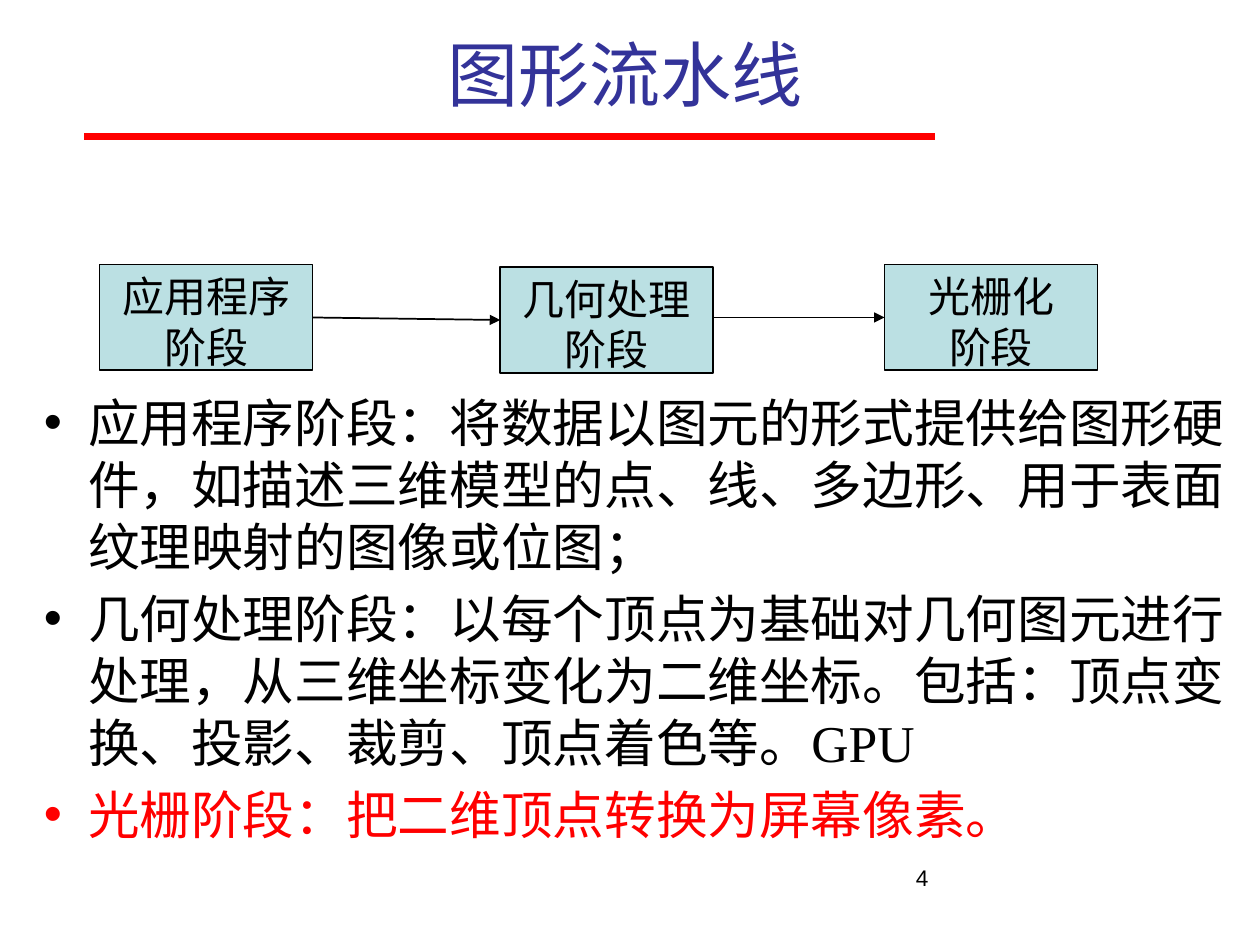
from lxml import etree
from pptx import Presentation
from pptx.dml.color import RGBColor
from pptx.enum.shapes import MSO_CONNECTOR, MSO_SHAPE
from pptx.enum.text import MSO_ANCHOR, PP_ALIGN
from pptx.oxml.ns import qn
from pptx.util import Inches, Pt

STRAIGHT, RECTANGLE = MSO_CONNECTOR.STRAIGHT, MSO_SHAPE.RECTANGLE
TOP, MIDDLE = MSO_ANCHOR.TOP, MSO_ANCHOR.MIDDLE
LEFT, CENTER = PP_ALIGN.LEFT, PP_ALIGN.CENTER
COLORS = {"title": "333399", "rule": "FF0000", "text": "000000",
          "accent": "FF0000", "stage": "BBE0E3", "line": "000000"}

# Content
TITLE = "图形流水线"
PAGE_NUMBER = "4"
STAGES = [  # left, top, lines
    (0.79, 2.1, ["应用程序", "阶段"]),
    (3.97, 2.12, ["几何处理", "阶段"]),
    (7.02, 2.1, ["光栅化", "阶段"]),
]
STAGE_WIDTH, STAGE_HEIGHT = 1.69, 0.84
BULLETS = [
    ("应用程序阶段：将数据以图元的形式提供给图形硬件，如描述三维模型的点、线、多边形、用于表面纹理映射的图像或位图；", "text"),
    ("几何处理阶段：以每个顶点为基础对几何图元进行处理，从三维坐标变化为二维坐标。包括：顶点变换、投影、裁剪、顶点着色等。GPU", "text"),
    ("光栅阶段：把二维顶点转换为屏幕像素。", "accent"),
]


def rgb(name):
    return RGBColor.from_string(COLORS[name])


def place(shape, left, top, width, height):
    bounds = {"left": left, "top": top, "width": width, "height": height}
    for name, value in bounds.items():
        setattr(shape, name, Inches(value))


def write(frame, lines, size, color="text", font="Arial", align=LEFT,
          anchor=TOP, wrap=True):
    frame.word_wrap = wrap
    frame.vertical_anchor = anchor
    for index, line in enumerate(lines):
        para = frame.paragraphs[0] if index == 0 else frame.add_paragraph()
        para.alignment = align
        span = para.add_run()
        span.text = line
        for name, value in {"name": font, "size": Pt(size), "bold": False}.items():
            setattr(span.font, name, value)
        span.font.color.rgb = rgb(color)


def add_line(start, end, color, width, arrow=False):
    line = page.shapes.add_connector(
        STRAIGHT, *(Inches(value) for value in (*start, *end)))
    line.line.color.rgb = rgb(color)
    line.line.width = Pt(width)
    if arrow:
        etree.SubElement(line.line._get_or_add_ln(), qn("a:tailEnd"), type="triangle")
    etree.SubElement(line._element.spPr, qn("a:effectLst"))
    return line


deck = Presentation()
deck.slide_width, deck.slide_height = Inches(10), Inches(7.5)
page = deck.slides.add_slide(deck.slide_layouts[5])

# Title and rule
title = page.shapes.title
place(title, 0.17, 0.08, 9.58, 1)
write(title.text_frame, [TITLE], 40.6, "title", align=CENTER, anchor=MIDDLE)
add_line((0.67, 1.08), (7.42, 1.08), "rule", 4)

# Bulleted explanation
body = page.shapes.add_textbox(Inches(0.25), Inches(3.05), Inches(9.58), Inches(3.75))
write(body.text_frame, [text for text, _ in BULLETS], 29.5, font="Times New Roman")
for index, (para, (_, color)) in enumerate(zip(body.text_frame.paragraphs, BULLETS)):
    para.space_before = Pt(5.9 if index else 0)
    properties = para._p.get_or_add_pPr()
    properties.set("marL", str(Inches(0.35)))
    properties.set("indent", str(-Inches(0.35)))
    etree.SubElement(properties, qn("a:buFont"), typeface="Arial")
    etree.SubElement(properties, qn("a:buChar"), char="•")
    para.runs[0].font.color.rgb = rgb(color)

# Pipeline stages
boxes = []
for left, top, lines in STAGES:
    box = page.shapes.add_shape(RECTANGLE, 0, 0, 0, 0)
    place(box, left, top, STAGE_WIDTH, STAGE_HEIGHT)
    box.shadow.inherit = False
    box.fill.solid()
    box.fill.fore_color.rgb = rgb("stage")
    box.line.color.rgb = rgb("line")
    box.line.width = Pt(1)
    write(box.text_frame, lines, 24, align=CENTER, wrap=False)
    boxes.append(box)

# Arrows leave at one height, which is the side's middle on the first stage only
arrow_y = STAGES[0][1] + STAGE_HEIGHT / 2
for index, (source, target) in enumerate(zip(STAGES, STAGES[1:])):
    arrow = add_line((source[0] + STAGE_WIDTH, arrow_y),
                     (target[0], target[1] + STAGE_HEIGHT / 2), "line", 1, arrow=True)
    if source[1] == STAGES[0][1]:
        arrow.begin_connect(boxes[index], 3)
    arrow.end_connect(boxes[index + 1], 1)

# Page number
number = page.shapes.add_textbox(Inches(7.17), Inches(6.81), Inches(2.33), Inches(0.32))
write(number.text_frame, [PAGE_NUMBER], 12.9)

deck.save("out.pptx")
